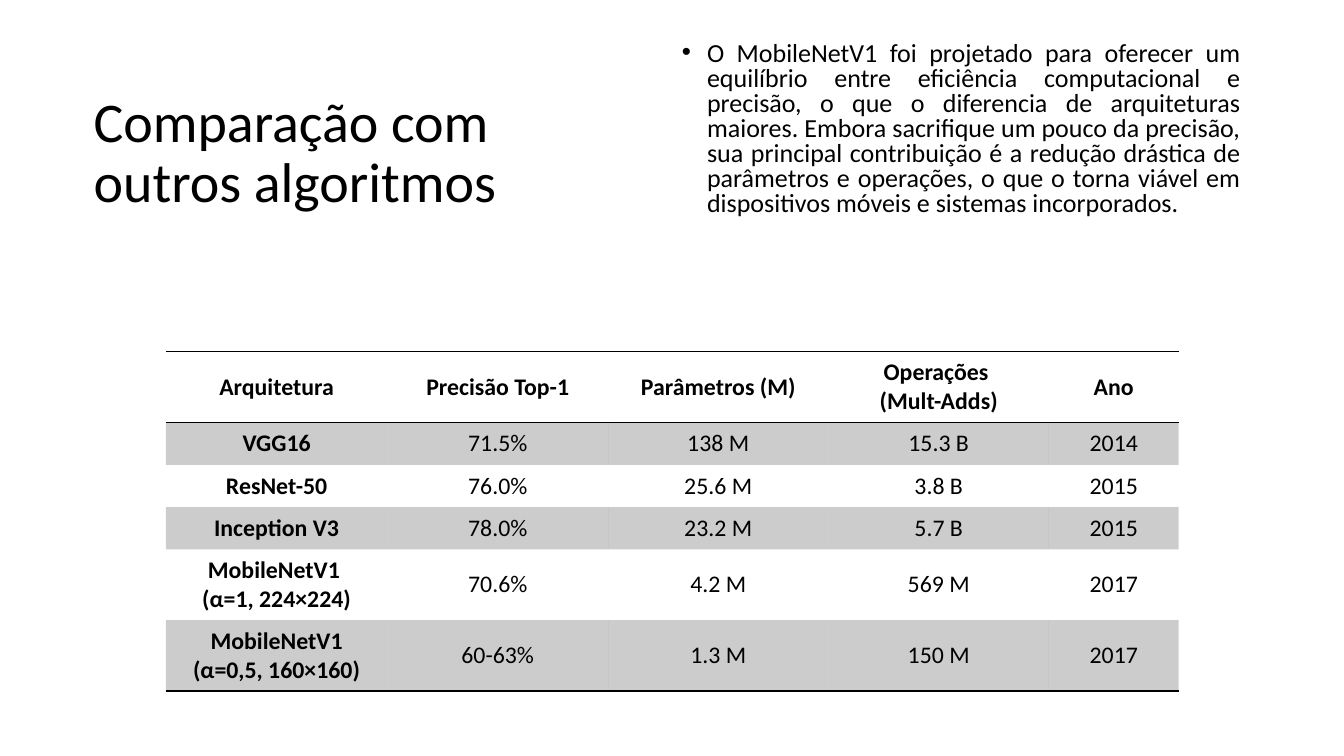
import pptx
import pptx.util
import pptx.dml.color
import pptx.enum.shapes
import pptx.enum.text
import pptx.oxml.ns
from lxml import etree

Pt = pptx.util.Pt
ALIGN = pptx.enum.text.PP_ALIGN
ANCHOR = pptx.enum.text.MSO_ANCHOR
qn = pptx.oxml.ns.qn

# Content
TITLE = "Comparação com outros algoritmos"
SUMMARY = (
    "O MobileNetV1 foi projetado para oferecer um equilíbrio entre eficiência "
    "computacional e precisão, o que o diferencia de arquiteturas maiores. "
    "Embora sacrifique um pouco da precisão, sua principal contribuição é a "
    "redução drástica de parâmetros e operações, o que o torna viável em "
    "dispositivos móveis e sistemas incorporados."
)
COMPARISON = [
    ("Arquitetura", "Precisão Top-1", "Parâmetros (M)", "Operações \v(Mult-Adds)", "Ano"),
    ("VGG16", "71.5%", "138 M", "15.3 B", "2014"),
    ("ResNet-50", "76.0%", "25.6 M", "3.8 B", "2015"),
    ("Inception V3", "78.0%", "23.2 M", "5.7 B", "2015"),
    ("MobileNetV1 \v(α=1, 224×224)", "70.6%", "4.2 M", "569 M", "2017"),
    ("MobileNetV1 (α=0,5, 160×160)", "60-63%", "1.3 M", "150 M", "2017"),
]

# Layout, in points
SLIDE_W, SLIDE_H = 960, 540
BANNER_H = 221
HEADING_TOP, HEADING_H = 26.6, 167
TABLE_LEFT, TABLE_TOP = 118.4, 251.2
COLUMN_WIDTHS = [158.4, 157.5, 157.5, 157.5, 92.6]
ONE_LINE, TWO_LINES = 30.2, 50.6
ROW_HEIGHTS = [TWO_LINES, ONE_LINE, ONE_LINE, ONE_LINE, TWO_LINES, TWO_LINES]
FONT, BLACK, WHITE = "Calibri", "000000", "FFFFFF"
NO_GRID_STYLE = "{2D5ABB26-0587-4C30-8999-92F81FD0307C}"


def paint(colour_format, colour):
    colour_format.rgb = pptx.dml.color.RGBColor.from_string(colour)


def write(frame, text, size=17, bold=False, align=ALIGN.LEFT, spacing=1.0):
    paragraph = frame.paragraphs[0]
    paragraph.text = text
    paragraph.alignment = align
    paragraph.line_spacing = spacing
    for run in paragraph.runs:
        run.font.name, run.font.size, run.font.bold = FONT, Pt(size), bold
        paint(run.font.color, BLACK)
    return paragraph


def add_heading_box(left, width, anchor):
    frame = slide.shapes.add_textbox(
        Pt(left), Pt(HEADING_TOP), Pt(width), Pt(HEADING_H)).text_frame
    frame.word_wrap = True
    frame.vertical_anchor = anchor
    return frame


def add_bullet(paragraph, indent):
    properties = paragraph._p.get_or_add_pPr()
    properties.set("marL", str(Pt(indent)))
    properties.set("indent", str(-Pt(indent)))
    etree.SubElement(properties, qn("a:buFont")).set("typeface", "Arial")
    etree.SubElement(properties, qn("a:buChar")).set("char", "•")


def add_rule(cell, side, position):
    rule = etree.Element(qn(f"a:{side}"), w=str(Pt(1)))
    fill = etree.SubElement(rule, qn("a:solidFill"))
    etree.SubElement(fill, qn("a:srgbClr")).set("val", BLACK)
    cell._tc.get_or_add_tcPr().insert(position, rule)


def shade(cell, colour, opacity):
    cell.fill.solid()
    paint(cell.fill.fore_color, colour)
    tint = cell._tc.tcPr.find(".//" + qn("a:srgbClr"))
    etree.SubElement(tint, qn("a:alpha")).set("val", str(opacity * 1000))


presentation = pptx.Presentation()
presentation.slide_width, presentation.slide_height = Pt(SLIDE_W), Pt(SLIDE_H)
slide = presentation.slides.add_slide(presentation.slide_layouts[6])

# White banner behind the heading
banner = slide.shapes.add_shape(
    pptx.enum.shapes.MSO_SHAPE.RECTANGLE, 0, 0, Pt(SLIDE_W), Pt(BANNER_H))
banner.shadow.inherit = False
banner.fill.solid()
paint(banner.fill.fore_color, WHITE)
banner.line.fill.background()

# Title and summary
write(add_heading_box(59.8, 370, ANCHOR.MIDDLE), TITLE, size=40, spacing=0.9)
summary = write(add_heading_box(480, 413.3, ANCHOR.TOP), SUMMARY,
                size=18.6, align=ALIGN.JUSTIFY, spacing=0.8)
add_bullet(summary, 18)

# Comparison table
table = slide.shapes.add_table(
    len(COMPARISON), len(COLUMN_WIDTHS), Pt(TABLE_LEFT), Pt(TABLE_TOP),
    Pt(sum(COLUMN_WIDTHS)), Pt(sum(ROW_HEIGHTS))).table
table._tbl.tblPr.find(qn("a:tableStyleId")).text = NO_GRID_STYLE
table.first_col = True
for column, width in zip(table.columns, COLUMN_WIDTHS):
    column.width = Pt(width)

last_row = len(COMPARISON) - 1
for r, values in enumerate(COMPARISON):
    table.rows[r].height = Pt(ROW_HEIGHTS[r])
    for c, value in enumerate(values):
        cell = table.cell(r, c)
        cell.vertical_anchor = ANCHOR.MIDDLE
        write(cell.text_frame, value, bold=r == 0 or c == 0, align=ALIGN.CENTER)
        if r % 2:
            shade(cell, BLACK, 20)
        else:
            cell.fill.background()
        if r in (0, last_row):
            add_rule(cell, "lnB", 0)
        if r == 0:
            add_rule(cell, "lnT", 0)

presentation.save("out.pptx")
